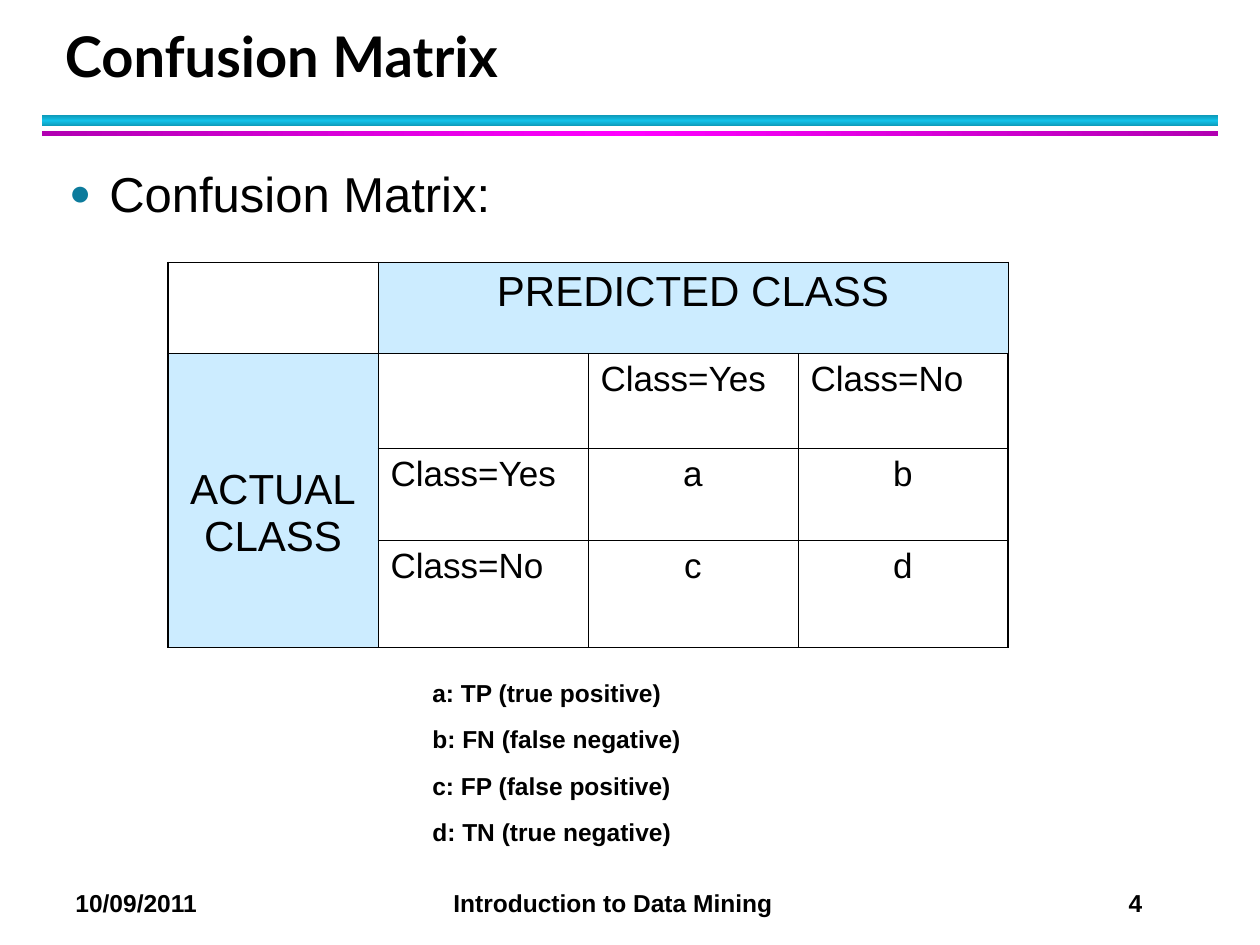
from lxml.etree import SubElement
from pptx import Presentation
from pptx.dml.color import RGBColor as RGB
from pptx.enum.shapes import MSO_SHAPE as SHAPE
from pptx.enum.text import MSO_ANCHOR as ANCHOR, PP_ALIGN as ALIGN
from pptx.oxml.ns import qn
from pptx.util import Inches, Pt

COLORS = {"text": "000000", "header": "CCECFF", "bullet": "0C7B9C",
          "teal": "0E9BBA", "cyan": "12C2E9", "purple": "B200B2", "magenta": "FF00FF"}

prs = Presentation()
prs.slide_width, prs.slide_height = Inches(10), Inches(7.5)
COL, ROW = prs.slide_width / 30, prs.slide_height / 90
s = prs.slides.add_slide(prs.slide_layouts[6])


def box(x, y, w, h):
    return [round(v) for v in (x * COL, y * ROW, w * COL, h * ROW)]


def write(tf, lines, size, para=None, bold=False, font="Arial"):
    tf.word_wrap = True
    for i, line in enumerate(lines):
        p = tf.paragraphs[0] if i == 0 else tf.add_paragraph()
        p.text = line
        for name, value in (para or {}).items():
            if i or name != "space_before":
                setattr(p, name, value)
        for r in p.runs:
            for name, value in {"name": font, "size": Pt(size), "bold": bold}.items():
                setattr(r.font, name, value)
            r.font.color.rgb = RGB.from_string(COLORS["text"])
    return tf.paragraphs[0]


for y, h, edge, middle, angle in [(11, 1, "teal", "cyan", 90),
                                  (12.5, 0.5, "purple", "magenta", 0)]:
    sp = s.shapes.add_shape(SHAPE.RECTANGLE, *box(1, y, 28, h))
    sp.shadow.inherit = False
    sp.line.fill.background()
    sp.fill.gradient()
    sp.fill.gradient_angle = angle
    stops = sp._element.spPr.find(".//" + qn("a:gsLst"))
    stops.clear()
    for pos, name in [(0, edge), (50, middle), (100, edge)]:
        gs = SubElement(stops, qn("a:gs"), pos=str(pos * 1000))
        SubElement(gs, qn("a:srgbClr"), val=COLORS[name])

tf = s.shapes.add_textbox(*box(1.25, 2, 27.2, 7)).text_frame
tf.vertical_anchor = ANCHOR.BOTTOM
write(tf, ["Confusion Matrix"], 32, {"line_spacing": Pt(36)}, True, "Lato")

tf = s.shapes.add_textbox(*box(1.35, 15, 27.3, 68)).text_frame
pPr = write(tf, ["Confusion Matrix:"], 28)._p.get_or_add_pPr()
pPr.set("marL", str(Inches(0.32)))
pPr.set("indent", str(-Inches(0.32)))
SubElement(SubElement(pPr, qn("a:buClr")), qn("a:srgbClr"), val=COLORS["bullet"])
SubElement(pPr, qn("a:buSzPct"), val="75000")
SubElement(pPr, qn("a:buFont"), typeface="Arial")
SubElement(pPr, qn("a:buChar"), char="●")

cells = [["", "PREDICTED CLASS", "", ""],
         ["ACTUAL\vCLASS", "", "Class=Yes", "Class=No"],
         ["", "Class=Yes", "a", "b"],
         ["", "Class=No", "c", "d"]]
heights = [8.67, 9, 8.8, 10.2]
headers = [(0, 1), (1, 0)]
tbl = s.shapes.add_table(4, 4, *box(4, 25, 20, sum(heights))).table
tbl.first_row = tbl.horz_banding = False
for col in tbl.columns:
    col.width = round(5 * COL)
for row, h in zip(tbl.rows, heights):
    row.height = round(h * ROW)
tbl.cell(0, 1).merge(tbl.cell(0, 3))
tbl.cell(1, 0).merge(tbl.cell(3, 0))

for i, texts in enumerate(cells):
    for j, text in enumerate(texts):
        cell = tbl.cell(i, j)
        tcPr = cell._tc.get_or_add_tcPr()
        for side, outer in {"L": j == 0, "R": j == 3, "T": i == 0, "B": i == 3}.items():
            ln = SubElement(tcPr, qn("a:ln" + side), w=str(Pt(1.08 if outer else 0.45)))
            SubElement(SubElement(ln, qn("a:solidFill")), qn("a:srgbClr"), val=COLORS["text"])
        header = (i, j) in headers
        if header:
            cell.fill.solid()
            cell.fill.fore_color.rgb = RGB.from_string(COLORS["header"])
        else:
            cell.fill.background()
        if text:
            centred = header or len(text) == 1
            write(cell.text_frame, [text], 24 if header else 20,
                  {"alignment": ALIGN.CENTER if centred else ALIGN.LEFT})

actual = tbl.cell(1, 0)
actual.vertical_anchor = ANCHOR.MIDDLE
actual.margin_top = Inches(0.25)

tf = s.shapes.add_textbox(*box(10, 64, 7.25, 16.8)).text_frame
write(tf, ["a: TP (true positive)", "b: FN (false negative)",
           "c: FP (false positive)", "d: TN (true negative)"],
      14, {"space_before": Pt(9.6)}, True)

tf = s.shapes.add_textbox(*box(1.5, 84, 28, 4)).text_frame
p = write(tf, ["10/09/2011\tIntroduction to Data Mining\t4"], 14, bold=True)
tabs = SubElement(p._p.get_or_add_pPr(), qn("a:tabLst"))
for pos, algn in [(9, "l"), (25.4, "r")]:
    SubElement(tabs, qn("a:tab"), pos=str(round(pos * COL)), algn=algn)

prs.save("out.pptx")
